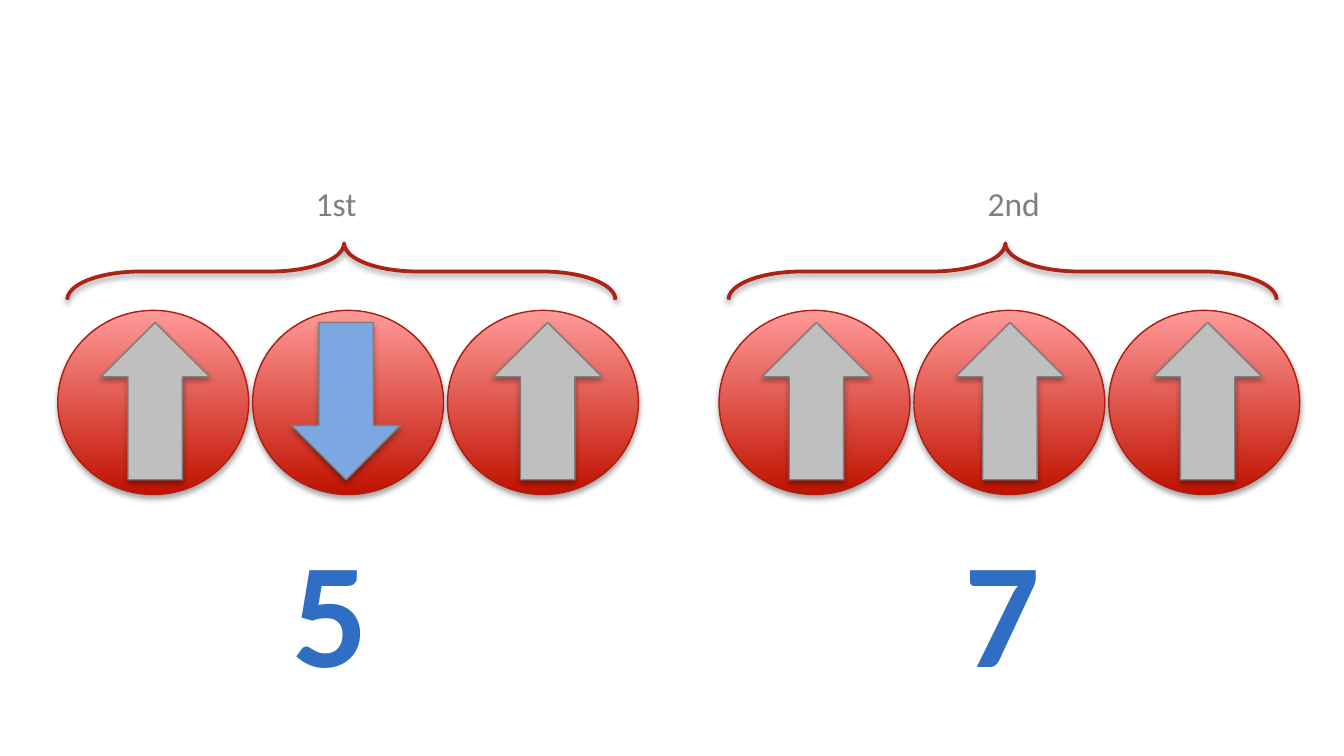
"""Build a slide of two groups of spins with their totals."""
from lxml.etree import SubElement
from pptx import Presentation
from pptx.dml.color import RGBColor
from pptx.enum.shapes import MSO_SHAPE
from pptx.enum.text import MSO_AUTO_SIZE
from pptx.oxml.ns import qn
from pptx.util import Inches, Pt


def color(code):
    return RGBColor.from_string(code)


class Painter:
    def __init__(self, slide, font):
        self.slide = slide
        self.font = font

    def shape(self, kind, box, line, width=0.75):
        item = self.slide.shapes.add_shape(kind, *map(Inches, box))
        item.line.color.rgb = color(line)
        item.line.width = Pt(width)
        return item

    def shadow(self, item, alpha=35, drop=1.8):
        item.shadow.inherit = False
        effects = item._element.spPr.find(qn("a:effectLst"))
        outer = SubElement(effects, qn("a:outerShdw"), blurRad=str(Pt(3.1)),
                           dist=str(Pt(drop)), dir="5400000", rotWithShape="0")
        tint = SubElement(outer, qn("a:srgbClr"), val="000000")
        SubElement(tint, qn("a:alpha"), val=str(alpha * 1000))

    def ball(self, left):
        item = self.shape(MSO_SHAPE.OVAL, (left, 2.31, 1.42, 1.37), "AC1E10")
        item.fill.gradient()
        item.fill.gradient_angle = 90
        for stop, code in zip(item.fill.gradient_stops, ("C01200", "FF9A99")):
            stop.color.rgb = color(code)
        self.shadow(item)

    def brace(self, left):
        box = (left, -0.02, 0.42, 4.08)
        item = self.shape(MSO_SHAPE.RIGHT_BRACE, box, "AC2214", 2)
        item.rotation = 270
        item.adjustments[0] = 1.302
        item.adjustments[1] = 0.505
        item.fill.background()
        self.shadow(item, 38, 1.6)

    def arrow(self, left, down):
        box = (left, 2.4, 0.81, 1.17)
        item = self.shape(MSO_SHAPE.UP_ARROW, box, "7D7D7D")
        item.rotation = 180 if down else 0
        item.fill.solid()
        item.fill.fore_color.rgb = color("7DA7E0" if down else "BFBFBF")
        self.shadow(item)

    def text(self, words, box, size, code, bold=False):
        frame = self.slide.shapes.add_textbox(*map(Inches, box)).text_frame
        frame.word_wrap = False
        frame.auto_size = MSO_AUTO_SIZE.SHAPE_TO_FIT_TEXT
        run = frame.paragraphs[0].add_run()
        run.text = words
        run.font.name = self.font
        run.font.size = Pt(size)
        run.font.bold = bold
        run.font.color.rgb = color(code)


def main():
    deck = Presentation()
    deck.slide_width, deck.slide_height = Inches(10), Inches(10 * 9 / 16)
    pen = Painter(deck.slides.add_slide(deck.slide_layouts[6]), "Calibri")
    groups = (
        (0.43, "1st", 0.51, "5", ((0.75, False), (2.17, True), (3.67, False))),
        (5.35, "2nd", 0.6, "7", ((5.67, False), (7.11, False), (8.58, False))),
    )
    for index, (left, label, width, total, arrows) in enumerate(groups):
        shift = 5 * index
        for step in range(3):
            pen.ball(left + 1.45 * step)
        pen.brace(left + 1.9)
        pen.text(label, (2.25 + shift, 1.31, width, 0.4), 18, "808080")
        for place, down in arrows:
            pen.arrow(place, down)
        pen.text(total, (2.08 + shift, 3.81, 0.77, 1.45), 80, "2F6EC3", True)
    deck.save("out.pptx")


if __name__ == "__main__":
    main()
